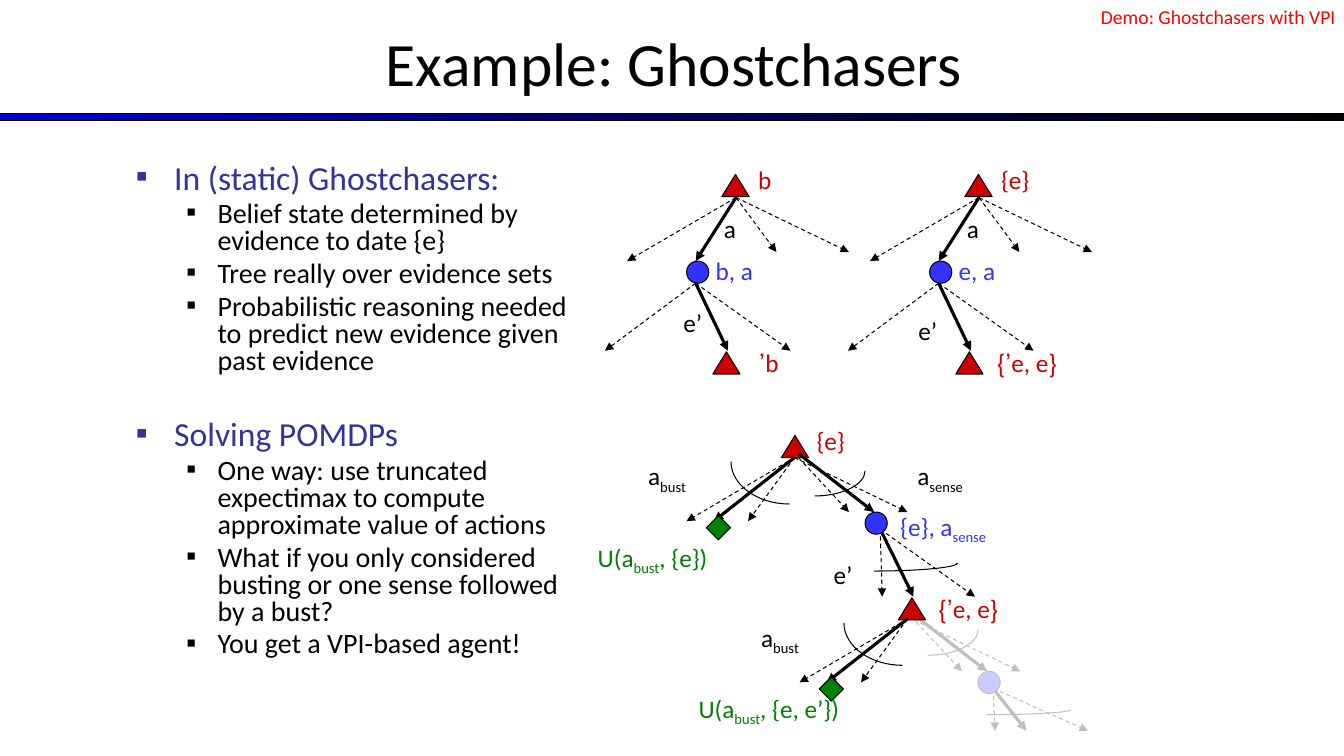
from dataclasses import dataclass

from pptx import Presentation
from pptx.dml.color import RGBColor
from pptx.enum.dml import MSO_LINE
from pptx.enum.shapes import MSO_CONNECTOR, MSO_SHAPE
from pptx.enum.text import MSO_ANCHOR, MSO_AUTO_SIZE, PP_ALIGN
from pptx.oxml.ns import qn
from pptx.util import Inches, Pt
from lxml.etree import SubElement


@dataclass(frozen=True)
class Theme:
    font: str = "Calibri"
    ink: str = "000000"
    paper: str = "FFFFFF"
    heading: str = "333399"
    belief: str = "CC0000"
    action: str = "3333FF"
    utility: str = "008000"
    demo: str = "FF0000"
    bar_start: str = "0000CC"
    title_size: int = 44
    heading_size: int = 24
    point_size: int = 20
    label_size: int = 18
    demo_size: int = 14
    thin: float = 0.75
    bold: float = 2.25


THEME = Theme()
QUARTER_CURVE = 0.55
OUTLINE = [
    ("In (static) Ghostchasers:", [
        "Belief state determined by evidence to date {e}",
        "Tree really over evidence sets",
        "Probabilistic reasoning needed to predict new evidence given past evidence",
    ]),
    ("Solving POMDPs", [
        "One way: use truncated expectimax to compute approximate value of actions",
        "What if you only considered busting or one sense followed by a bust?",
        "You get a VPI-based agent!",
    ]),
]


def rgb(color):
    return RGBColor.from_string(color)


def add_run(paragraph, text, size, color, subscript=False):
    run = paragraph.add_run()
    run.text = text
    run.font.name = THEME.font
    run.font.size = Pt(size)
    run.font.color.rgb = rgb(color)
    if subscript:
        run._r.get_or_add_rPr().set("baseline", "-25000")


def add_label(slide, left, top, width, parts, color=THEME.ink, indent=0, rtl=False):
    label = slide.shapes.add_textbox(Inches(left), Inches(top), Inches(width), Inches(0.4))
    label.text_frame.word_wrap = True
    paragraph = label.text_frame.paragraphs[0]
    properties = paragraph._p.get_or_add_pPr()
    if indent:
        properties.set("marL", str(Inches(indent)))
    if rtl:
        paragraph.alignment = PP_ALIGN.RIGHT
        properties.set("rtl", "1")
    for position, part in enumerate(parts):
        add_run(paragraph, part, THEME.label_size, color, subscript=position == 1)


def add_node(slide, preset, left, top, width, height, color, outline=THEME.ink):
    node = slide.shapes.add_shape(preset, Inches(left), Inches(top), Inches(width), Inches(height))
    node.shadow.inherit = False
    node.fill.solid()
    node.fill.fore_color.rgb = rgb(color)
    node.line.color.rgb = rgb(outline)
    node.line.width = Pt(THEME.thin)
    return node


def add_belief(slide, left, top):
    add_node(slide, MSO_SHAPE.ISOSCELES_TRIANGLE, left, top, 0.27, 0.22, THEME.belief)


def add_action(slide, left, top):
    add_node(slide, MSO_SHAPE.OVAL, left, top, 0.22, 0.22, THEME.action)


def add_arrow(slide, start, end, chosen=False):
    arrow = slide.shapes.add_connector(
        MSO_CONNECTOR.STRAIGHT, *(Inches(value) for value in (*start, *end)))
    arrow.line.color.rgb = rgb(THEME.ink)
    arrow.line.width = Pt(THEME.bold if chosen else THEME.thin)
    if not chosen:
        arrow.line.dash_style = MSO_LINE.DASH
    SubElement(arrow.line._get_or_add_ln(), qn("a:tailEnd"), type="triangle")
    SubElement(arrow._element.spPr, qn("a:effectLst"))


def add_fan(slide, x, y, chosen, others):
    for dx, dy in others:
        add_arrow(slide, (x, y), (x + dx, y + dy))
    add_arrow(slide, (x, y), (x + chosen[0], y + chosen[1]), chosen=True)


def add_arc(slide, x, y, radius_x, radius_y):
    corners = [(1, 0), (1, QUARTER_CURVE), (QUARTER_CURVE, 1), (0, 1)]
    points = [(Inches(x + radius_x * u), Inches(y + radius_y * v)) for u, v in corners]
    builder = slide.shapes.build_freeform(*points[0], scale=1.0)
    builder.add_line_segments(points[1:], close=False)
    arc = builder.convert_to_shape()
    segments = list(arc._element.spPr.iter(qn("a:lnTo")))
    curve = SubElement(segments[0].getparent(), qn("a:cubicBezTo"))
    for segment in segments:
        curve.append(segment[0])
        segment.getparent().remove(segment)
    arc.shadow.inherit = False
    arc.fill.background()
    arc.line.color.rgb = rgb(THEME.ink)
    arc.line.width = Pt(THEME.thin)


def add_belief_tree(slide, x, belief, action, next_belief, next_left, next_width, evidence_at):
    add_belief(slide, x - 0.14, 1.73)
    add_fan(slide, x, 1.96, (-0.4, 0.63), [(-1.08, 0.63), (1.12, 0.54), (0.4, 0.54)])
    add_action(slide, x - 0.49, 2.59)
    add_fan(slide, x - 0.4, 2.81, (0.32, 0.67), [(-0.9, 0.67), (0.94, 0.67)])
    add_belief(slide, x - 0.23, 3.49)
    add_label(slide, x - 0.22, 2.07, 0.22, ["a"])
    add_label(slide, x + 0.12, 1.58, 0.75, [belief], THEME.belief)
    add_label(slide, x - 0.3, 2.48, 0.97, [action], THEME.action)
    add_label(slide, *evidence_at, 0.88, ["e’"], indent=0.22)
    add_label(slide, next_left, 3.4, next_width, [next_belief], THEME.belief, rtl=True)


def add_bust_branch(slide, x, y):
    add_fan(slide, x, y, (-0.8, 0.63), [(-1.07, 0.63), (-0.46, 0.63)])
    add_arc(slide, x - 0.05, y + 0.04, -0.58, 0.42)
    utility = add_node(slide, MSO_SHAPE.RECTANGLE, x - 0.84, y + 0.61, 0.17, 0.17, THEME.utility)
    utility.rotation = 45
    add_label(slide, x - 1.55, y - 0.02, 1.08, ["a", "bust"])


def add_sense_branch(slide, x, y, drop):
    add_arrow(slide, (x + 0.04, y - 0.04), (x + 0.79, y + 0.54), chosen=True)
    add_arrow(slide, (x, y), (x + 1.12, y + 0.54))
    add_arrow(slide, (x + 0.04, y), (x + 0.54, y + 0.54))
    add_arc(slide, x + 0.2, y + 0.13, 0.5, 0.25)
    add_fan(slide, x + 0.85, y + 0.71, (0.33, drop), [(0.02, drop), (0.94, drop)])
    add_arc(slide, x + 0.79, y + 0.71 + drop / 2, 0.83, drop * 0.12)
    add_action(slide, x + 0.7, y + 0.54)


def add_veil(slide):
    veil = add_node(slide, MSO_SHAPE.RECTANGLE, 9, 6, 1.92, 1.5, THEME.paper, THEME.paper)
    color = veil._element.spPr.find(qn("a:solidFill"))[0]
    SubElement(color, qn("a:alpha"), val="75000")


def add_lookahead_tree(slide):
    add_sense_branch(slide, 9, 6.12, 0.42)
    add_veil(slide)
    add_belief(slide, 7.75, 4.32)
    add_bust_branch(slide, 7.88, 4.54)
    add_sense_branch(slide, 7.88, 4.54, 0.67)
    add_belief(slide, 8.91, 5.93)
    add_bust_branch(slide, 9, 6.14)
    add_label(slide, 8, 4.17, 0.75, ["{e}"], THEME.belief)
    add_label(slide, 9, 4.52, 1.08, ["a", "sense"])
    add_label(slide, 8.83, 5.02, 1.5, ["{e}, a", "sense"], THEME.action)
    add_label(slide, 7.83, 5.5, 1.46, ["e’"], indent=0.34)
    add_label(slide, 9.01, 5.84, 0.99, ["{e, e’}"], THEME.belief, rtl=True)
    add_label(slide, 5.83, 5.33, 1.75, ["U(a", "bust", ", {e})"], THEME.utility)
    add_label(slide, 6.83, 6.83, 2.08, ["U(a", "bust", ", {e, e’})"], THEME.utility)


def add_bullet(paragraph, text, size, color, margin, hanging, space):
    properties = paragraph._p.get_or_add_pPr()
    properties.set("marL", str(Inches(margin)))
    properties.set("indent", str(-Inches(hanging)))
    SubElement(SubElement(properties, qn("a:buClr")), qn("a:srgbClr"), val=color)
    SubElement(properties, qn("a:buFont"), typeface=THEME.font)
    SubElement(properties, qn("a:buChar"), char="▪")
    paragraph.line_spacing = 0.8
    if space:
        paragraph.space_before = Pt(space)
    add_run(paragraph, text, size, color)


def add_outline(slide):
    frame = slide.shapes.add_textbox(Inches(1.25), Inches(1.58), Inches(4.67), Inches(4.95)).text_frame
    frame.word_wrap = True
    for section, (heading, points) in enumerate(OUTLINE):
        paragraph = frame.add_paragraph() if section else frame.paragraphs[0]
        add_bullet(paragraph, heading, THEME.heading_size, THEME.heading, 0.38, 0.38, 32.5 * section)
        for point in points:
            paragraph = frame.add_paragraph()
            paragraph.level = 1
            add_bullet(paragraph, point, THEME.point_size, THEME.ink, 0.81, 0.31, 4.2)


def add_header(slide):
    bar = add_node(slide, MSO_SHAPE.RECTANGLE, 0, 1.13, 13.33, 0.07, THEME.bar_start)
    bar.fill.gradient()
    bar.fill.gradient_angle = 0
    for stop, color in zip(bar.fill.gradient_stops, (THEME.bar_start, THEME.ink)):
        stop.color.rgb = rgb(color)
    title = slide.shapes.title
    title.left, title.top, title.width, title.height = (
        Inches(value) for value in (0.02, -0.01, 13.33, 1.25))
    title.text_frame.auto_size = MSO_AUTO_SIZE.NONE
    title.text_frame.vertical_anchor = MSO_ANCHOR.MIDDLE
    paragraph = title.text_frame.paragraphs[0]
    paragraph.alignment = PP_ALIGN.CENTER
    add_run(paragraph, "Example: Ghostchasers", THEME.title_size, THEME.ink)
    demo = slide.shapes.add_textbox(Inches(10.82), Inches(0), Inches(2.55), Inches(0.34)).text_frame
    demo.word_wrap = False
    add_run(demo.paragraphs[0], "Demo: Ghostchasers with VPI", THEME.demo_size, THEME.demo)


def main():
    deck = Presentation()
    deck.slide_width, deck.slide_height = Inches(13.33), Inches(7.5)
    slide = deck.slides.add_slide(deck.slide_layouts[5])
    add_header(slide)
    add_outline(slide)
    add_belief_tree(slide, 7.3, "b", "b, a", "b’", 7.25, 0.57, (6.46, 3))
    add_belief_tree(slide, 9.71, "{e}", "e, a", "{e, e’}", 9.59, 0.99, (8.79, 3.08))
    add_lookahead_tree(slide)
    deck.save("out.pptx")


if __name__ == "__main__":
    main()
